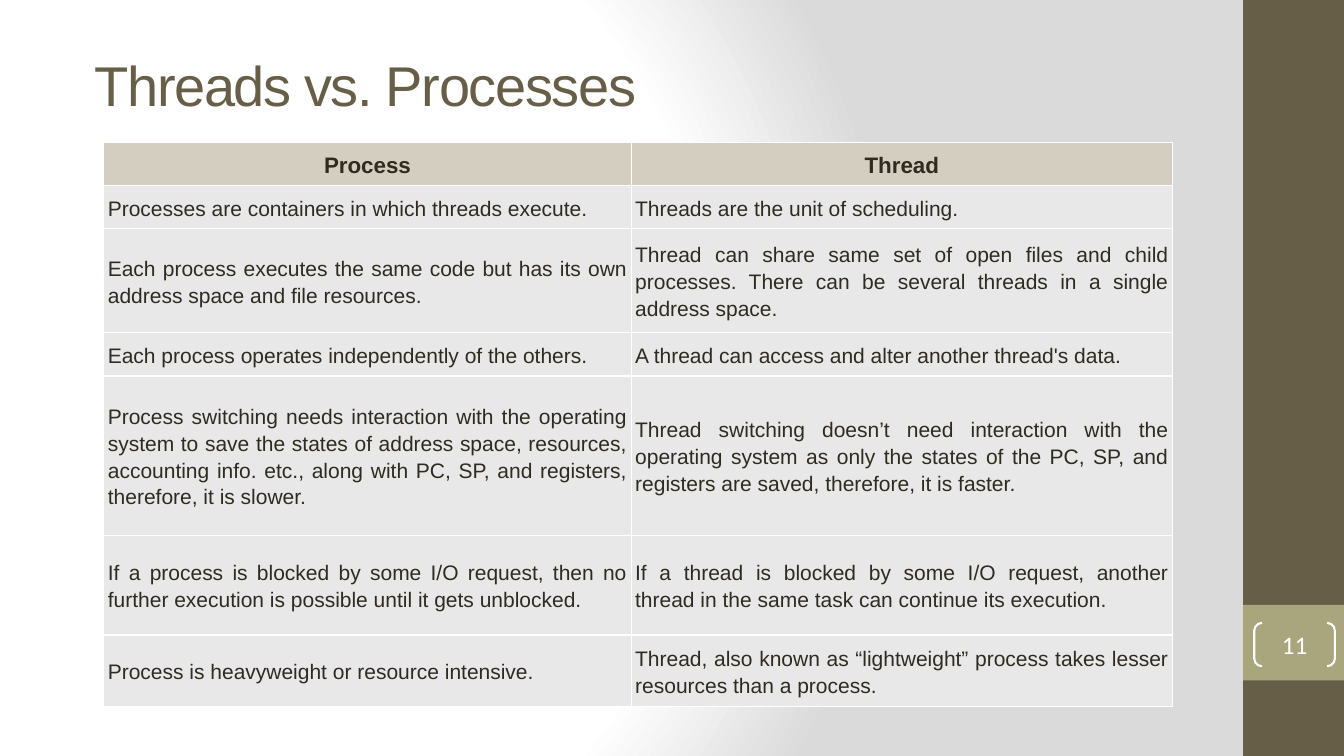
from dataclasses import dataclass

from pptx import Presentation
from pptx.dml.color import RGBColor
from pptx.enum.shapes import MSO_SHAPE as Shape
from pptx.enum.text import MSO_ANCHOR as Anchor, PP_ALIGN as Align
from pptx.oxml import parse_xml
from pptx.oxml.ns import nsdecls
from pptx.util import Inches, Pt

BROWN, OLIVE, INK, WHITE = "675E47", "A9A57C", "2F2B20", "FFFFFF"
HEAD, BODY = "D3CEBF", "E8E8E8"
COLS = (5.23, 5.37)


@dataclass
class Box:
    x: float
    y: float
    w: float
    h: float

    def emu(self) -> list:
        return [Inches(v) for v in (self.x, self.y, self.w, self.h)]


@dataclass
class Style:
    size: float
    color: str
    face: str = "Arial"
    align: Align = Align.LEFT
    bold: bool = False
    space: float = 1.0


@dataclass
class Row:
    h: float
    left: str
    right: str


BANDS = ((Box(12.33, 0, 1, 7.5), BROWN), (Box(12.33, 6, 1, 0.75), OLIVE))
ROWS = (
    Row(0.43, "Process", "Thread"),
    Row(0.43, "Processes are containers in which threads execute.",
        "Threads are the unit of scheduling."),
    Row(1.03, "Each process executes the same code but has its own address "
        "space and file resources.",
        "Thread can share same set of open files and child processes. "
        "There can be several threads in a single address space."),
    Row(0.43, "Each process operates independently of the others.",
        "A thread can access and alter another thread's data."),
    Row(1.58, "Process switching needs interaction with the operating system "
        "to save the states of address space, resources, accounting info. "
        "etc., along with PC, SP, and registers, therefore, it is slower.",
        "Thread switching doesn’t need interaction with the operating system "
        "as only the states of the PC, SP, and registers are saved, "
        "therefore, it is faster."),
    Row(0.99, "If a process is blocked by some I/O request, then no further "
        "execution is possible until it gets unblocked.",
        "If a thread is blocked by some I/O request, another thread in the "
        "same task can continue its execution."),
    Row(0.71, "Process is heavyweight or resource intensive.",
        "Thread, also known as “lightweight” process takes lesser resources "
        "than a process."),
)
TOP = Style(16, INK, align=Align.CENTER, bold=True, space=1.15)
TEXT = Style(15, INK, align=Align.JUSTIFY, space=1.15)


def rgb(code: str) -> RGBColor:
    return RGBColor.from_string(code)


def write(frame, text: str, style: Style):
    para = frame.paragraphs[0]
    run = para.add_run()
    run.text = text
    para.alignment = style.align
    para.line_spacing = style.space
    font = para.font
    font.size, font.name, font.bold = Pt(style.size), style.face, style.bold
    font.color.rgb = rgb(style.color)
    return run


def inset(item, gap: float) -> None:
    item.margin_left = item.margin_right = Inches(gap)
    item.margin_top = item.margin_bottom = Inches(gap)


def back(slide) -> None:
    stops = "".join(
        f'<a:gs pos="{pos * 1000}"><a:srgbClr val="{code}"/></a:gs>'
        for pos, code in ((0, WHITE), (75, WHITE), (100, "DADADA")))
    slide.element.cSld.insert(0, parse_xml(
        f'<p:bg {nsdecls("p", "a")}><p:bgPr><a:gradFill rotWithShape="1">'
        f'<a:gsLst>{stops}</a:gsLst><a:path path="circle">'
        '<a:fillToRect l="20000" t="50000" r="100000" b="50000"/></a:path>'
        '</a:gradFill><a:effectLst/></p:bgPr></p:bg>'))


def band(slide, box: Box, color: str) -> None:
    shape = slide.shapes.add_shape(Shape.RECTANGLE, *box.emu())
    shape.shadow.inherit = False
    shape.fill.solid()
    shape.fill.fore_color.rgb = rgb(color)
    shape.line.fill.background()


def title(slide, text: str) -> None:
    frame = slide.shapes.add_textbox(*Box(0.84, 0.61, 10.91, 0.45).emu()).text_frame
    frame.word_wrap = True
    frame.vertical_anchor = Anchor.MIDDLE
    run = write(frame, text, Style(40, BROWN))
    run.font._element.set("spc", "-100")


def number(slide, text: str) -> None:
    shape = slide.shapes.add_shape(
        Shape.DOUBLE_BRACKET, *Box(12.44, 6.18, 0.8, 0.43).emu())
    shape.shadow.inherit = False
    shape.adjustments[0] = 0.18
    shape.fill.background()
    shape.line.color.rgb = rgb(WHITE)
    shape.line.width = Pt(1.5)
    frame = shape.text_frame
    inset(frame, 0)
    frame.vertical_anchor = Anchor.MIDDLE
    write(frame, text, Style(18, WHITE, "Calibri", Align.CENTER))


def fill(cell, text: str, style: Style, color: str) -> None:
    inset(cell, 0.04)
    cell.vertical_anchor = Anchor.MIDDLE
    write(cell.text_frame, text, style)
    # Borders come before the fill in the cell properties
    props = cell._tc.get_or_add_tcPr()
    for side in "LRTB":
        props.append(parse_xml(
            f'<a:ln{side} {nsdecls("a")} w="{Pt(1)}"><a:solidFill>'
            f'<a:srgbClr val="{WHITE}"/></a:solidFill></a:ln{side}>'))
    cell.fill.solid()
    cell.fill.fore_color.rgb = rgb(color)


def grid(slide) -> None:
    box = Box(1.03, 1.41, sum(COLS), sum(row.h for row in ROWS))
    table = slide.shapes.add_table(len(ROWS), len(COLS), *box.emu()).table
    for col, width in zip(table.columns, COLS):
        col.width = Inches(width)
    for i, row in enumerate(ROWS):
        table.rows[i].height = Inches(row.h)
        style, color = (TEXT, BODY) if i else (TOP, HEAD)
        for j, text in enumerate((row.left, row.right)):
            fill(table.cell(i, j), text, style, color)


def main() -> None:
    deck = Presentation()
    deck.slide_width, deck.slide_height = Inches(13.33), Inches(7.5)
    slide = deck.slides.add_slide(deck.slide_layouts[6])
    # Background and side bands
    back(slide)
    for box, color in BANDS:
        band(slide, box, color)
    # Title, page number and table
    title(slide, "Threads vs. Processes")
    number(slide, "11")
    grid(slide)
    deck.save("out.pptx")


if __name__ == "__main__":
    main()
